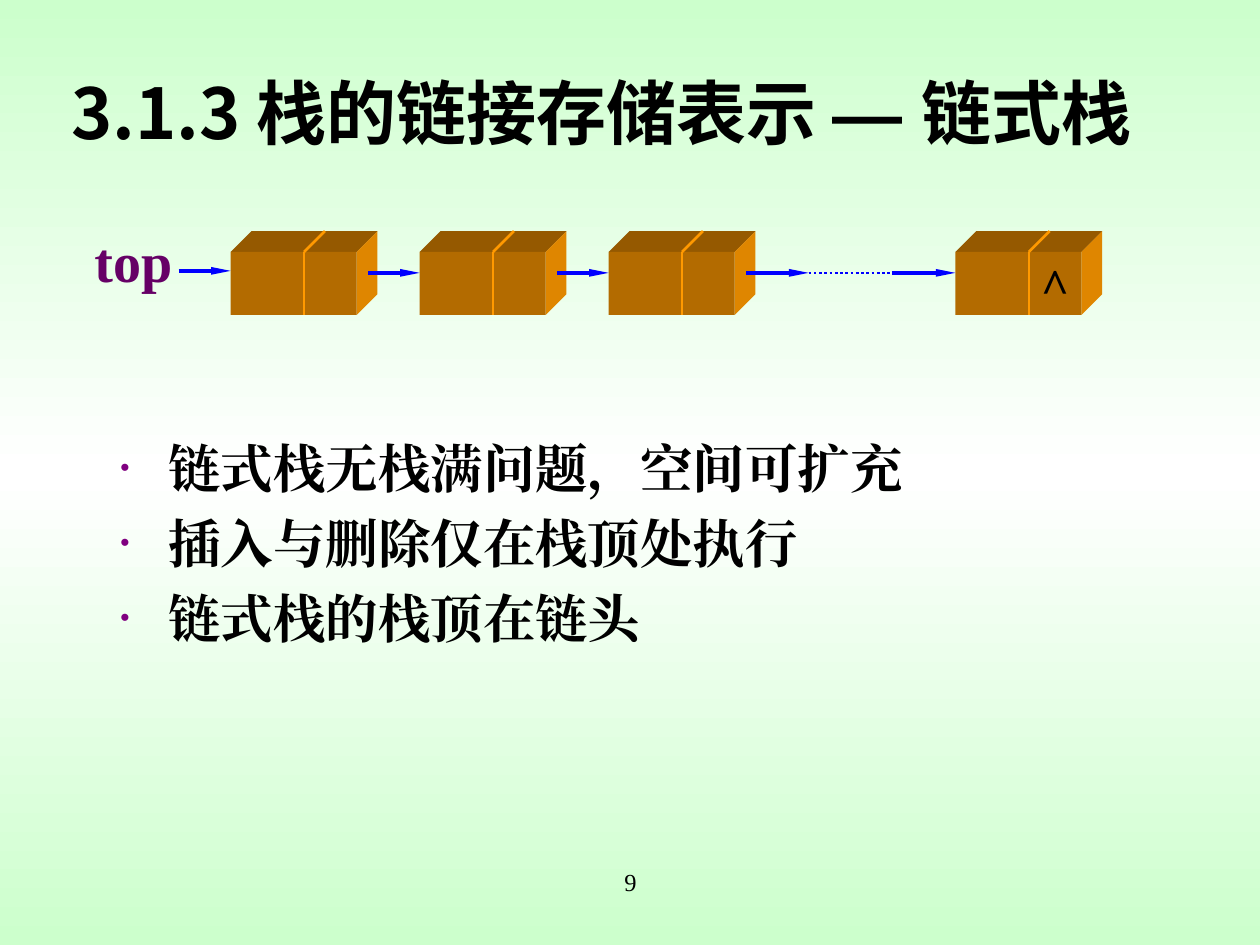
from copy import deepcopy

from lxml import etree
from pptx import Presentation
from pptx.dml.color import RGBColor
from pptx.enum.dml import MSO_LINE
from pptx.enum.shapes import MSO_CONNECTOR, MSO_SHAPE
from pptx.enum.text import MSO_ANCHOR, PP_ALIGN
from pptx.oxml.ns import qn
from pptx.util import Cm, Pt

STRAIGHT, RECT = MSO_CONNECTOR.STRAIGHT, MSO_SHAPE.RECTANGLE
DOTTED = MSO_LINE.ROUND_DOT
LEFT, CENTER = PP_ALIGN.LEFT, PP_ALIGN.CENTER
MIDDLE, TOP = MSO_ANCHOR.MIDDLE, MSO_ANCHOR.TOP

BLACK = RGBColor(0, 0, 0)
PURPLE = RGBColor(0x66, 0x00, 0x66)
BLUE = RGBColor(0x00, 0x00, 0xFF)
ORANGE = RGBColor(0xFF, 0x99, 0x00)
FRONT = RGBColor(0xB3, 0x6B, 0x00)
LID = RGBColor(0x95, 0x59, 0x00)
SIDE = RGBColor(0xDF, 0x86, 0x00)
SERIF, SANS, CJK = "Times New Roman", "Arial", "Noto Sans CJK JP"

TITLE = [("3.1.3 栈的链接存储表示 ", CJK), ("— ", SANS), ("链式栈", CJK)]
POINTS = ["链式栈无栈满问题，空间可扩充", "插入与删除仅在栈顶处执行", "链式栈的栈顶在链头"]
BACKGROUND = [(0, "CCFFCC"), (50, "FFFFFF"), (100, "CCFFCC")]

# Geometry of the linked list, in centimetres
NODES = [(4.65, ""), (8.46, ""), (12.27, ""), (19.26, "^")]
NODE_Y, NODE_W, NODE_H = 5.08, 2.54, 1.27
DEPTH, DIVIDER, LINK_X, LINK_Y = 0.42, 1.48, 2.77, 5.5
GAP_START, GAP_END = 16.3, 17.98


def add_text(p, text, size, font=SERIF, color=BLACK, bold=True):
    r = p.add_run()
    r.text = text
    r.font.size, r.font.bold, r.font.name = Pt(size), bold, font
    r.font.color.rgb = color
    etree.SubElement(r.font._element, qn("a:ea")).set("typeface", font)


def add_box(slide, x, y, w, h, align=LEFT, wrap=True):
    tf = slide.shapes.add_textbox(Cm(x), Cm(y), Cm(w), Cm(h)).text_frame
    tf.word_wrap = wrap
    tf.vertical_anchor = TOP
    tf.paragraphs[0].alignment = align
    return tf


def add_line(slide, start, end, color, width, arrow=False):
    ln = slide.shapes.add_connector(STRAIGHT, *map(Cm, start + end))
    ln.line.color.rgb, ln.line.width = color, Pt(width)
    if arrow:
        etree.SubElement(ln.line._get_or_add_ln(), qn("a:tailEnd"),
                         type="triangle", w="sm", len="lg")
    etree.SubElement(ln._element.spPr, qn("a:effectLst"))
    return ln


def paint(sp, color):
    sp.shadow.inherit = False
    sp.fill.solid()
    sp.fill.fore_color.rgb = color
    sp.line.fill.background()


def add_face(slide, points, color):
    (x, y), *rest = [(Cm(px), Cm(py)) for px, py in points]
    builder = slide.shapes.build_freeform(x, y)
    builder.add_line_segments(rest, close=True)
    paint(builder.convert_to_shape(), color)


def add_node(slide, x, mark):
    """Draw a block with two cells and put the mark in the right cell."""
    y, right, bottom = NODE_Y, x + NODE_W, NODE_Y + NODE_H
    back, top, middle = right + DEPTH, y - DEPTH, x + DIVIDER
    add_face(slide, [(x, y), (x + DEPTH, top), (back, top), (right, y)], LID)
    add_face(slide, [(right, y), (back, top), (back, bottom - DEPTH), (right, bottom)], SIDE)
    sp = slide.shapes.add_shape(RECT, Cm(x), Cm(y), Cm(NODE_W), Cm(NODE_H))
    paint(sp, FRONT)
    if mark:
        tf = sp.text_frame
        tf.word_wrap, tf.vertical_anchor = False, MIDDLE
        tf.margin_left, tf.margin_right = Cm(DIVIDER), 0
        tf.paragraphs[0].alignment = CENTER
        add_text(tf.paragraphs[0], mark, 28)
    add_line(slide, (middle, y), (middle, bottom), ORANGE, 1.5)
    add_line(slide, (middle, y), (middle + DEPTH, top), ORANGE, 1.5)


def add_bullet(p):
    pPr = p._p.get_or_add_pPr()
    pPr.set("marL", str(Cm(0.96)))
    pPr.set("indent", str(-Cm(0.96)))
    color = etree.SubElement(pPr, qn("a:buClr"))
    etree.SubElement(color, qn("a:srgbClr"), val="800080")
    etree.SubElement(pPr, qn("a:buSzPct"), val="50000")
    etree.SubElement(pPr, qn("a:buFont"), typeface=SANS)
    etree.SubElement(pPr, qn("a:buChar"), char="•")


def set_background(slide):
    fill = slide.background.fill
    fill.gradient()
    fill.gradient_angle = 90
    stops = slide.element.find(".//" + qn("a:gsLst"))
    stops.append(deepcopy(stops[0]))
    for stop, (position, color) in zip(stops, BACKGROUND):
        stop.set("pos", str(position * 1000))
        for child in list(stop):
            stop.remove(child)
        etree.SubElement(stop, qn("a:srgbClr"), val=color)


def main():
    prs = Presentation()
    prs.slide_width, prs.slide_height = Cm(25.4), Cm(19.05)
    slide = prs.slides.add_slide(prs.slide_layouts[5])
    set_background(slide)

    title = slide.shapes.title
    title.left, title.top, title.width, title.height = Cm(1.19), Cm(1.19), Cm(23.62), Cm(2.11)
    title.text_frame.vertical_anchor = MIDDLE
    p = title.text_frame.paragraphs[0]
    p.alignment = LEFT
    for text, font in TITLE:
        add_text(p, text, 40, font=font)

    tf = add_box(slide, 2.18, 8.6, 20.96, 7.42)
    for i, text in enumerate(POINTS):
        p = tf.add_paragraph() if i else tf.paragraphs[0]
        p.line_spacing = 1.05
        if i:
            p.space_before = Pt(5)
        add_bullet(p)
        add_text(p, text, 30)

    tf = add_box(slide, 1.65, 4.45, 2.08, 1.6, align=CENTER, wrap=False)
    add_text(tf.paragraphs[0], "top", 32, color=PURPLE)

    for x, mark in NODES:
        add_node(slide, x, mark)

    lefts = [x for x, _ in NODES]
    ends = lefts[1:-1] + [GAP_START]
    links = [(x + LINK_X, end, LINK_Y) for x, end in zip(lefts, ends)]
    links += [(3.6, lefts[0], 5.46), (GAP_END, lefts[-1], LINK_Y)]
    for start, end, y in links:
        add_line(slide, (start, y), (end, y), BLUE, 2.25, arrow=True)
    gap = add_line(slide, (GAP_START, LINK_Y), (GAP_END, LINK_Y), BLUE, 1.5)
    gap.line.dash_style = DOTTED

    tf = add_box(slide, 8.69, 17.35, 8.04, 1.27, align=CENTER)
    add_text(tf.paragraphs[0], "9", 14, bold=False)
    prs.save("out.pptx")


if __name__ == "__main__":
    main()
